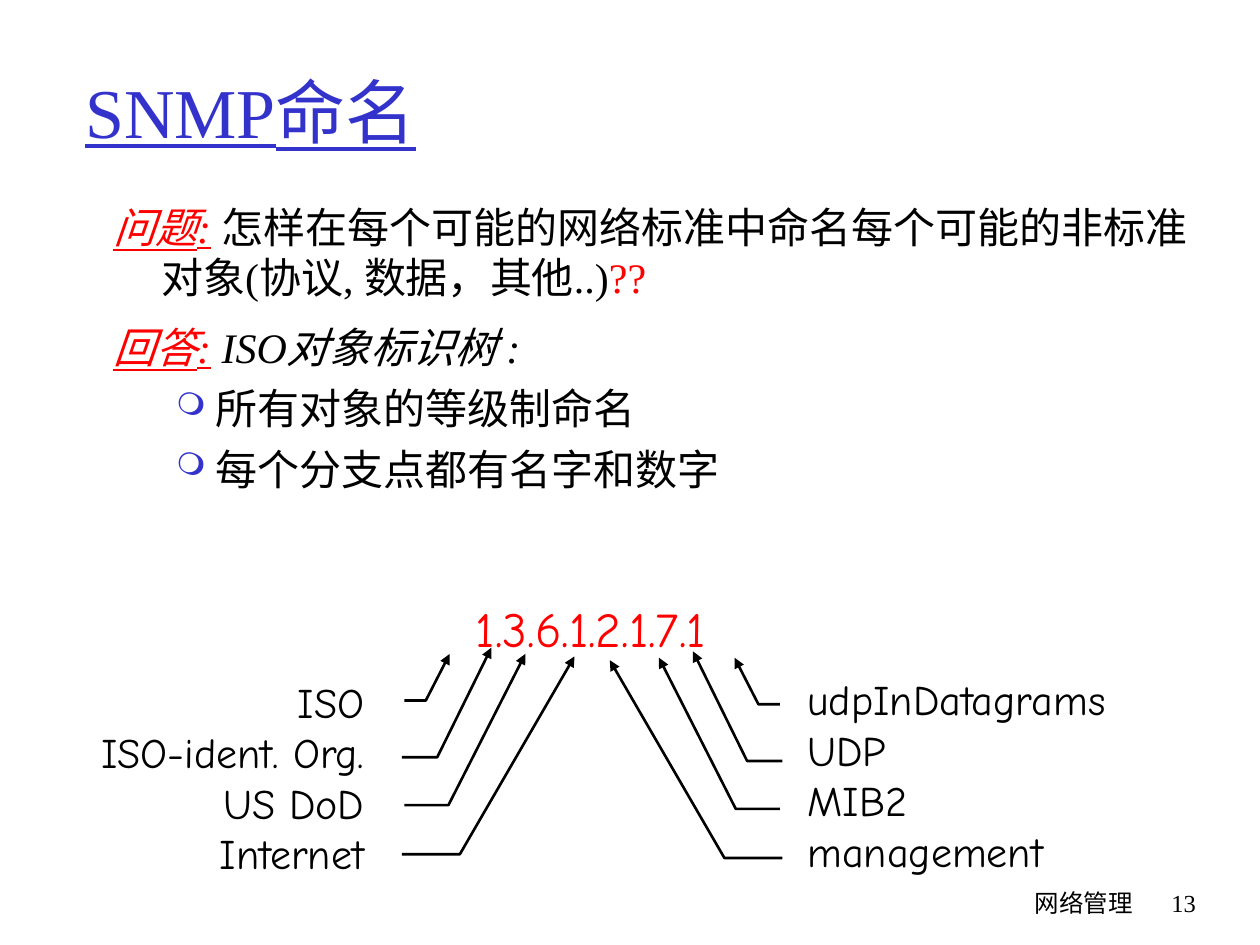
from dataclasses import dataclass

from lxml import etree
from pptx import Presentation
from pptx import util as u
from pptx.dml.color import RGBColor
from pptx.enum import text
from pptx.oxml import ns

PX = 9144  # EMU per px, 100 px to the inch
MIRROR_X = 940  # left and right arrow x positions add up to this
MIRROR_DROP = 3
COLORS = {"ink": "000000", "red": "FF0000", "blue": "3333CC"}
SERIF, COMIC = "Times New Roman", "Comic Neue"
LEFT, CENTER, RIGHT = (text.PP_ALIGN.LEFT, text.PP_ALIGN.CENTER,
                       text.PP_ALIGN.RIGHT)


@dataclass
class Run:
    text: str
    color: str = "ink"
    italic: bool = False
    underline: bool = False


@dataclass
class Para:
    runs: list[Run]
    before: int = 0
    margin: int = 0
    hanging: int = 0
    bullet: str = ""


@dataclass
class Box:
    left: int
    top: int
    width: int
    height: int
    paras: list[Para]
    size: int
    font: str = COMIC
    align: text.PP_ALIGN = LEFT
    wrap: bool = True
    anchor: text.MSO_ANCHOR = text.MSO_ANCHOR.TOP


@dataclass
class Arrow:
    """Flat lead from a label, then a slope up to a digit."""
    start: int
    bend: int
    tip: int
    base: int
    top: int

    def mirrored(self) -> "Arrow":
        return Arrow(MIRROR_X - self.start, MIRROR_X - self.bend,
                     MIRROR_X - self.tip, self.base + MIRROR_DROP,
                     self.top + MIRROR_DROP)


def lines(*labels: str, color: str = "ink") -> list[Para]:
    return [Para([Run(label, color)]) for label in labels]


def rgb(name: str) -> RGBColor:
    return RGBColor.from_string(COLORS[name])


def add_bullet(p, char: str) -> None:
    pPr = p._p.get_or_add_pPr()
    clr = etree.SubElement(pPr, ns.qn("a:buClr"))
    etree.SubElement(clr, ns.qn("a:srgbClr"), val=COLORS["blue"])
    etree.SubElement(pPr, ns.qn("a:buSzPct"), val="75000")
    etree.SubElement(pPr, ns.qn("a:buChar"), char=char)


def add_box(shapes, box: Box) -> None:
    s = shapes.add_textbox(*(n * PX for n in
                             (box.left, box.top, box.width, box.height)))
    tf = s.text_frame
    tf.word_wrap = box.wrap
    if not box.wrap:
        tf.auto_size = text.MSO_AUTO_SIZE.SHAPE_TO_FIT_TEXT
    tf.vertical_anchor = box.anchor
    for i, para in enumerate(box.paras):
        p = tf.add_paragraph() if i else tf.paragraphs[0]
        p.alignment = box.align
        if para.before:
            p.space_before = u.Pt(para.before)
        if para.margin:
            pPr = p._p.get_or_add_pPr()
            pPr.set("marL", str(para.margin * PX))
            pPr.set("indent", str(-para.hanging * PX))
        if para.bullet:
            add_bullet(p, para.bullet)
        for run in para.runs:
            r = p.add_run()
            r.text = run.text
            r.font.name, r.font.size = box.font, u.Pt(box.size)
            r.font.color.rgb = rgb(run.color)
            r.font.italic, r.font.underline = run.italic, run.underline


def add_arrow(shapes, arrow: Arrow) -> None:
    fb = shapes.build_freeform(arrow.start, arrow.base, scale=PX)
    fb.add_line_segments([(arrow.bend, arrow.base), (arrow.tip, arrow.top)],
                         close=False)
    s = fb.convert_to_shape()
    s.shadow.inherit = False
    s.fill.background()
    s.line.color.rgb = rgb("ink")
    s.line.width = u.Pt(1.5)
    etree.SubElement(s.line._get_or_add_ln(), ns.qn("a:tailEnd"),
                     type="triangle")


BODY = [
    Para([Run("问题:", "red", True, True),
          Run(" 怎样在每个可能的网络标准中命名每个可能的非标准对象(协议, 数据，其他..)"),
          Run("??", "red")], margin=38, hanging=38),
    Para([Run("回答:", "red", True, True),
          Run(" ISO对象标识树 :", italic=True)],
         before=11, margin=38, hanging=38),
    *(Para([Run(point)], before=6, margin=81, hanging=31, bullet="❍")
      for point in ("所有对象的等级制命名", "每个分支点都有名字和数字")),
]

BOXES = [
    Box(592, 700, 317, 50, lines("网络管理"), 14, align=RIGHT),
    Box(894, 700, 65, 50, lines("13"), 14, SERIF, RIGHT),
    Box(58, 25, 850, 125, [Para([Run("SNMP命名", "blue", underline=True)])],
        40, SERIF, anchor=text.MSO_ANCHOR.MIDDLE),
    Box(80, 155, 878, 304, BODY, 24, SERIF),
    Box(364, 470, 210, 57, lines("1.3.6.1.2.1.7.1", color="red"), 28,
        align=CENTER, wrap=False),
    Box(69, 532, 230, 170,
        lines("ISO", "ISO-ident. Org.", "US DoD", "Internet"), 24,
        align=RIGHT, wrap=False),
    Box(631, 530, 258, 170,
        lines("udpInDatagrams", "UDP", "MIB2", "management"), 24, wrap=False),
]

LEFT_ARROWS = [
    Arrow(321, 338, 357, 556, 519),
    Arrow(319, 347, 390, 601, 514),
    Arrow(321, 356, 417, 639, 519),
    Arrow(319, 365, 456, 678, 521),
]


def main() -> None:
    prs = Presentation()
    prs.slide_width, prs.slide_height = 1000 * PX, 750 * PX
    shapes = prs.slides.add_slide(prs.slide_layouts[6]).shapes
    for box in BOXES:
        add_box(shapes, box)
    for arrow in LEFT_ARROWS:
        add_arrow(shapes, arrow)
        add_arrow(shapes, arrow.mirrored())
    prs.save("out.pptx")


if __name__ == "__main__":
    main()
